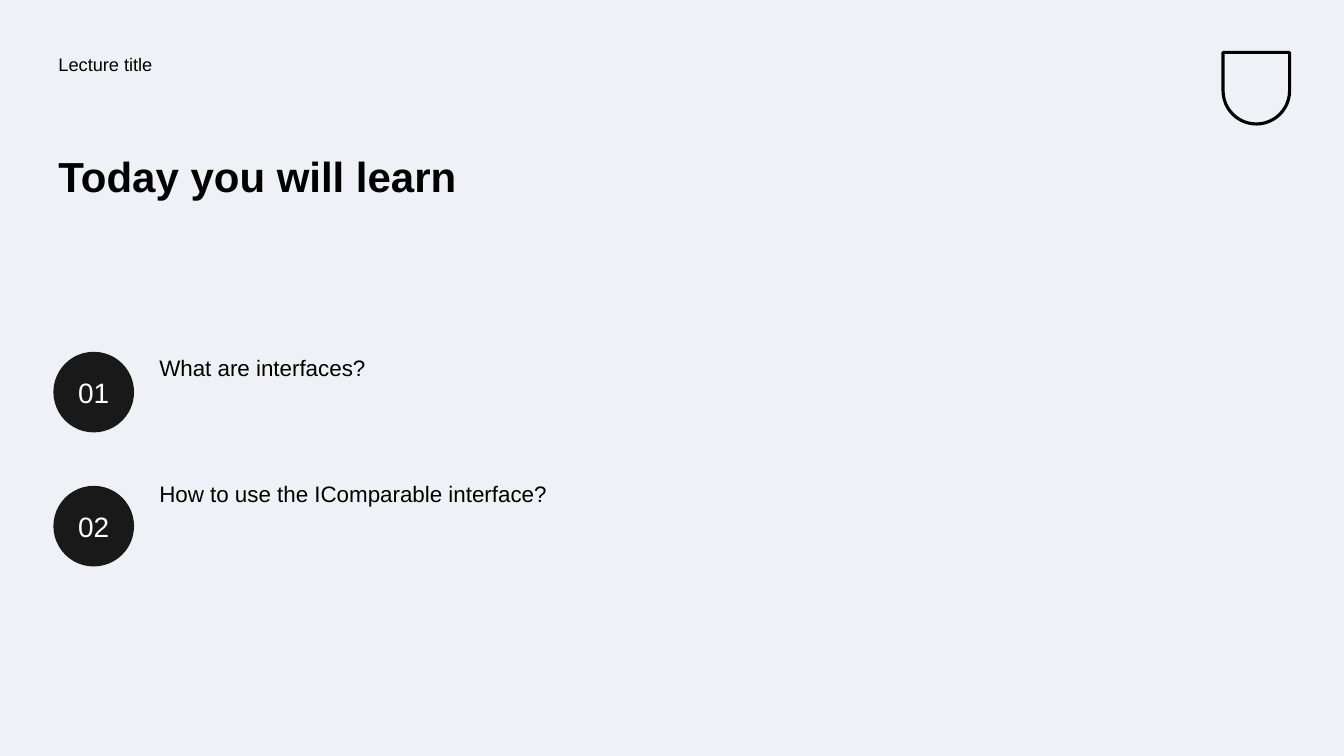
from dataclasses import dataclass

from pptx import Presentation
from pptx.dml.color import RGBColor
from pptx.enum import shapes, text
from pptx.oxml import parse_xml
from pptx.oxml.ns import nsdecls
from pptx.util import Inches, Pt

BACKGROUND = RGBColor(0xF0, 0xF1, 0xF6)
BLACK = RGBColor(0x00, 0x00, 0x00)
DISC = RGBColor(0x19, 0x19, 0x19)
NUMBER = RGBColor(0xFE, 0xFF, 0xFF)
FONT = "Arial"
MARGIN = 0.53


@dataclass
class TextBlock:
    wording: str
    left: float
    top: float
    width: float
    height: float
    size: int
    bold: bool = False


@dataclass
class Topic:
    question: str
    text_top: float
    disc_top: float


HEADING = TextBlock("Today you will learn", MARGIN, 1.5, 5.64, 1.49, 30, bold=True)
LECTURE = TextBlock("Lecture title", MARGIN, 0.5, 6.14, 0.5, 13)
TOPICS = [
    Topic("What are interfaces?", 3.49, 3.49),
    Topic("How to use the IComparable interface?", 4.74, 4.82),
]


def write(shape, wording: str, size: int, color: RGBColor, bold: bool = False):
    """Put one formatted paragraph in the shape and return the paragraph."""
    frame = shape.text_frame
    frame.text = wording
    frame.word_wrap = True
    frame.auto_size = text.MSO_AUTO_SIZE.NONE
    frame.margin_left = frame.margin_right = Inches(0.05)
    frame.margin_top = frame.margin_bottom = Inches(0.05)
    paragraph = frame.paragraphs[0]
    font = paragraph.runs[0].font
    font.name, font.size, font.bold = FONT, Pt(size), bold
    font.color.rgb = color
    return paragraph


def fill_placeholder(placeholder, block: TextBlock) -> None:
    placeholder.left, placeholder.top = Inches(block.left), Inches(block.top)
    placeholder.width, placeholder.height = Inches(block.width), Inches(block.height)
    paragraph = write(placeholder, block.wording, block.size, BLACK, block.bold)
    placeholder.text_frame.vertical_anchor = text.MSO_ANCHOR.TOP
    paragraph.alignment = text.PP_ALIGN.LEFT
    paragraph.line_spacing = 0.9
    paragraph.space_before = Pt(0)
    properties = paragraph._p.get_or_add_pPr()
    properties.set("marL", "0")
    properties.set("indent", "0")
    properties.append(parse_xml(f"<a:buNone {nsdecls('a')}/>"))


def add_number_disc(slide, number: int, top: float) -> None:
    disc = slide.shapes.add_shape(
        shapes.MSO_SHAPE.OVAL, Inches(MARGIN), Inches(top), Inches(0.8), Inches(0.8))
    disc.shadow.inherit = False
    disc.fill.solid()
    disc.fill.fore_color.rgb = DISC
    disc.line.fill.background()
    paragraph = write(disc, f"{number:02}", 20, NUMBER)
    paragraph.alignment = text.PP_ALIGN.CENTER
    disc.text_frame.vertical_anchor = text.MSO_ANCHOR.MIDDLE


def add_shield(slide) -> None:
    """Draw a plain shield: a box whose rounded end points down."""
    shield = slide.shapes.add_shape(
        shapes.MSO_SHAPE.ROUND_2_SAME_RECTANGLE,
        Inches(12.13), Inches(0.52), Inches(0.66), Inches(0.71))
    shield.adjustments[0] = 0.5
    shield.rotation = 180
    shield.shadow.inherit = False
    shield.fill.background()
    shield.line.color.rgb = BLACK
    shield.line.width = Pt(2.25)


def main() -> None:
    deck = Presentation()
    deck.slide_width, deck.slide_height = Inches(13.33), Inches(7.5)
    slide = deck.slides.add_slide(deck.slide_layouts.get_by_name("Comparison"))
    slide.background.fill.solid()
    slide.background.fill.fore_color.rgb = BACKGROUND

    add_shield(slide)
    title, lecture, *questions, spare = slide.placeholders
    spare.element.getparent().remove(spare.element)
    fill_placeholder(title, HEADING)
    fill_placeholder(lecture, LECTURE)
    for number, (topic, question) in enumerate(zip(TOPICS, questions), start=1):
        block = TextBlock(topic.question, 1.53, topic.text_top, 4.63, 0.99, 16)
        fill_placeholder(question, block)
        add_number_disc(slide, number, topic.disc_top)

    deck.save("out.pptx")


if __name__ == "__main__":
    main()
